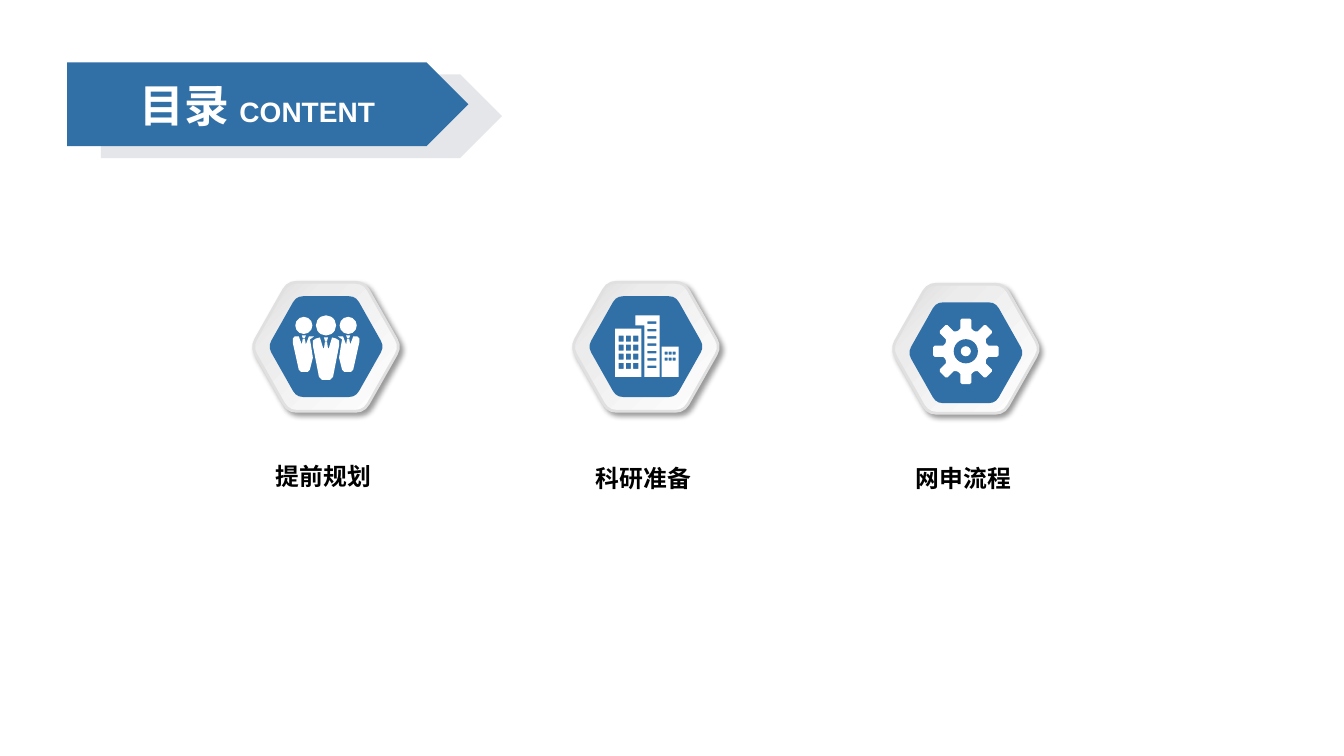
import math
from dataclasses import dataclass

import pptx
import pptx.dml.color
import pptx.enum.shapes
import pptx.enum.text
import pptx.oxml
import pptx.oxml.ns
import pptx.util

Pt = pptx.util.Pt
SHAPE = pptx.enum.shapes.MSO_SHAPE
NS = pptx.oxml.ns.nsdecls("a")
UNIT = 0.72  # icon drawing unit, in points


@dataclass(frozen=True)
class Theme:
    blue: str = "3170A7"
    slate: str = "44546A"
    white: str = "FFFFFF"
    black: str = "000000"
    rim: str = "E0E0E0"
    plate_stops: tuple = ((0, "D9D9D9"), (27, "ECECEC"), (100, "FFFFFF"))
    font: str = "Arial"
    title: int = 32
    subtitle: int = 20
    label: int = 17


T = Theme()


def rgb(value):
    return pptx.dml.color.RGBColor.from_string(value)


def paint(sp, color):
    sp.shadow.inherit = False
    sp.fill.solid()
    sp.fill.fore_color.rgb = rgb(color)
    sp.line.fill.background()
    return sp


def style(font, size, color):
    font.name, font.size, font.bold = T.font, Pt(size), True
    font.color.rgb = rgb(color)


# Outlines: each contour is a list of (x, y)
def rounded(points, cut, steps=3):
    """Replace each corner by a quadratic curve starting cut before it."""
    out = []
    for i, (x, y) in enumerate(points):
        ends = []
        for nx, ny in (points[i - 1], points[(i + 1) % len(points)]):
            k = cut / math.hypot(nx - x, ny - y)
            ends.append((x + k * (nx - x), y + k * (ny - y)))
        (ax, ay), (bx, by) = ends
        for j in range(steps + 1):
            t = j / steps
            u = 1 - t
            out.append((u * u * ax + 2 * u * t * x + t * t * bx,
                        u * u * ay + 2 * u * t * y + t * t * by))
    return out


def rect(x, y, w, h):
    return [(x, y), (x + w, y), (x + w, y + h), (x, y + h)]


def mirrored(points):
    return [(-x, y) for x, y in reversed(points)]


def draw(s, contours, x, y, scale=1):
    """Draw contours as one outline, with (0, 0) placed at x, y."""
    placed = [[(Pt(x + scale * px), Pt(y + scale * py)) for px, py in c] for c in contours]
    fb = s.shapes.build_freeform(*placed[0][0])
    for i, points in enumerate(placed):
        if i:
            fb.move_to(*points[0])
        fb.add_line_segments(points[1:], close=True)
    return fb.convert_to_shape()


# Icons: outlines and discs (x, y, radius, colour), measured from the hexagon's centre
def people_icon():
    half = [(1, -5), (2, 2), (3, 1), (6, -9), (10, -8), (13, -6), (13, -1), (7, 30), (4, 33)]
    knot = [(-2, -9), (2, -9), (1, -5.5), (-1, -5.5)]
    side = [
        [(20, -11), (24, -11), (23, -8.5), (21, -8.5)],
        [(23, -8), (24, -2), (27, -10), (31, -10), (33, -8), (33, -4), (27, 23), (25, 25),
         (18, 25), (16, 23), (13, 11), (15, -2), (16, -7), (12, -10), (17, -10), (20, -2),
         (21, -8)],
    ]
    outline = [knot, half + mirrored(half)] + side + [mirrored(c) for c in side]
    heads = [(-22, -21, 8.5, T.white), (0, -21, 10, T.white), (22, -21, 8.5, T.white)]
    return [outline], heads


def city_icon():
    left = [rect(-30.5, -18, 26, 48)]
    left += [rect(-27 + 7.25 * i, -11 + 9 * j, 5, 6) for i in range(3) for j in range(4)]
    tower = [[(-10.5, -31), (13.5, -31), (13.5, 30), (-1.5, 30), (-1.5, -21), (-10.5, -21)]]
    tower += [rect(1.5, -25 + 7.3 * j, 9, 2.5) for j in range(7)]
    right = [rect(15.5, 0, 17, 30)]
    right += [rect(18.5 + 4 * i, 5 + 6 * j, 3, 3) for i in range(3) for j in range(2)]
    return [right, tower, left], []


def gear_icon():
    cy = -1.5
    half = [(20.5, -7.5), (22.5, -5.5), (31, -5.5), (32.5, -4)]
    tooth = half + [(x, -y) for x, y in reversed(half)]
    rim = []
    for i in range(8):
        c, d = math.cos(i * math.pi / 4), math.sin(i * math.pi / 4)
        rim += [(x * c - y * d, x * d + y * c + cy) for x, y in tooth]
    return [[rim]], [(0, cy, 12, T.blue), (0, cy, 5, T.white)]


# Banner with the slide title
def banner(s, x, y, w, h):
    for dx, dy, color in ((24, 8.5, T.slate), (0, 0, T.blue)):
        sp = s.shapes.add_shape(SHAPE.PENTAGON, Pt(x + dx), Pt(y + dy), Pt(w), Pt(h))
        paint(sp, color)
        if color == T.slate:
            clr = sp._element.spPr.find(".//" + pptx.oxml.ns.qn("a:srgbClr"))
            clr.append(pptx.oxml.parse_xml(f'<a:alpha {NS} val="14000"/>'))
    title = s.shapes.title
    s.shapes._spTree.append(title._element)  # bring in front of the banner
    title.left, title.top, title.width, title.height = Pt(x), Pt(y), Pt(w - h / 4), Pt(h)
    tf = title.text_frame
    tf.auto_size = pptx.enum.text.MSO_AUTO_SIZE.NONE
    tf.vertical_anchor = pptx.enum.text.MSO_ANCHOR.MIDDLE
    p = tf.paragraphs[0]
    p.alignment = pptx.enum.text.PP_ALIGN.CENTER
    for text, size in (("目录 ", T.title), ("CONTENT", T.subtitle)):
        r = p.add_run()
        r.text = text
        style(r.font, size, T.white)


def hexagon(s, x, y, w, h):
    corners = [(-0.01, 0.5), (0.24, 0), (0.76, 0), (1.01, 0.5), (0.76, 1), (0.24, 1)]
    return draw(s, [rounded([(fx * w, fy * h) for fx, fy in corners], 0.06 * w)], x, y)


def plate(s, x, y, w, h):
    sp = paint(hexagon(s, x, y, w, h), T.white)
    sp.line.color.rgb = rgb(T.rim)
    sp.line.width = Pt(2)
    spPr = sp._element.spPr
    stops = "".join(f'<a:gs pos="{pos * 1000}"><a:srgbClr val="{color}"/></a:gs>'
                    for pos, color in T.plate_stops)
    spPr.replace(spPr.find(pptx.oxml.ns.qn("a:solidFill")), pptx.oxml.parse_xml(
        f'<a:gradFill {NS}><a:gsLst>{stops}</a:gsLst>'
        '<a:lin ang="2700000" scaled="0"/></a:gradFill>'))
    spPr.find(pptx.oxml.ns.qn("a:effectLst")).append(pptx.oxml.parse_xml(
        f'<a:outerShdw {NS} blurRad="{Pt(4)}" dist="{Pt(3)}" dir="2700000" algn="tl" '
        f'rotWithShape="0"><a:srgbClr val="{T.black}"><a:alpha val="40000"/></a:srgbClr>'
        '</a:outerShdw>'))
    return sp


# One topic: hexagon badge above its label
def topic(s, x, y, w, text, icon, face_dy, label_dy):
    badge_w, badge_h, face_w, face_h = 104.4, 92.2, 81.4, 72
    badge_x = x + (w - badge_w) / 2 + 1.8
    face_x, face_y = badge_x + (badge_w - face_w) / 2, y + face_dy
    cx, cy = face_x + face_w / 2, face_y + face_h / 2
    parts = [plate(s, badge_x, y, badge_w, badge_h),
             paint(hexagon(s, face_x, face_y, face_w, face_h), T.blue)]
    outlines, discs = icon
    parts += [paint(draw(s, contours, cx, cy, UNIT), T.white) for contours in outlines]
    for dx, dy, radius, color in discs:
        size = Pt(2 * radius * UNIT)
        parts.append(paint(s.shapes.add_shape(
            SHAPE.OVAL, Pt(cx + (dx - radius) * UNIT), Pt(cy + (dy - radius) * UNIT),
            size, size), color))
    s.shapes.add_group_shape(parts)

    tf = s.shapes.add_textbox(Pt(x), Pt(y + label_dy), Pt(w), Pt(25.2)).text_frame
    tf.word_wrap = True
    tf.margin_top = tf.margin_bottom = Pt(2)
    tf.vertical_anchor = pptx.enum.text.MSO_ANCHOR.BOTTOM
    p = tf.paragraphs[0]
    p.text = text
    p.alignment = pptx.enum.text.PP_ALIGN.CENTER
    style(p.font, T.label, T.black)


def main():
    prs = pptx.Presentation()
    prs.slide_width, prs.slide_height = Pt(960), Pt(540)
    s = prs.slides.add_slide(prs.slide_layouts[5])
    banner(s, 48, 44.6, 286.6, 59.8)
    topics = (("提前规划", people_icon(), 201.6, 10, 125.4),
              ("科研准备", city_icon(), 201.6, 10, 126.6),
              ("网申流程", gear_icon(), 203, 13, 125.2))
    for i, (text, icon, y, face_dy, label_dy) in enumerate(topics):
        topic(s, 162 + 228.5 * i, y, 138.2, text, icon, face_dy, label_dy)
    prs.save("out.pptx")


if __name__ == "__main__":
    main()
